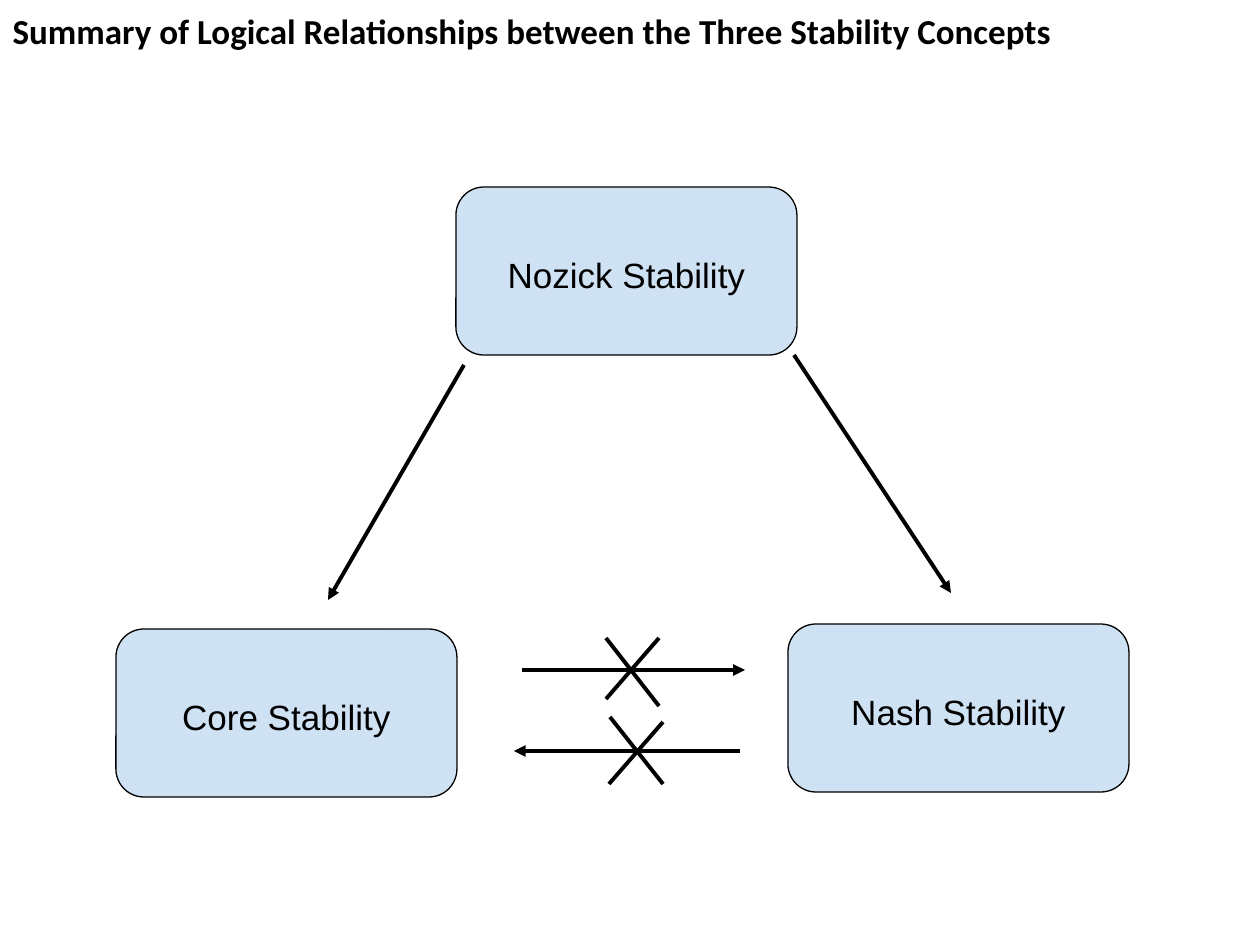
from pptx import Presentation, util as u
from pptx.dml.color import RGBColor
from pptx.enum import shapes, text
from pptx.oxml.ns import qn
from lxml import etree

TITLE = "Summary of Logical Relationships between the Three Stability Concepts"
COLORS = {"ink": "000000", "box": "CFE2F3"}
BOX_SIZE = (341, 168)
CONCEPTS = [  # label, left, top
    ("Nozick Stability", 456, 187),
    ("Core Stability", 116, 629),
    ("Nash Stability", 788, 624),
]
IMPLICATIONS = [  # x1, y1, x2, y2
    (464, 365, 328, 600),
    (794, 355, 951, 593),
    (522, 670, 745, 670),
    (740, 751, 514, 751),
]
CROSS_STROKES = [
    (610, 717, 663, 784),
    (663, 722, 609, 784),
    (606, 638, 659, 706),
    (659, 638, 606, 699),
]


def px(n):
    return u.Emu(round(n * 914400 / 126))


def color(name):
    return RGBColor.from_string(COLORS[name])


def add_run(p, words, font, bold=False):
    r = p.add_run()
    r.text = words
    r.font.name, r.font.size, r.font.bold = font, u.Pt(20), bold
    r.font.color.rgb = color("ink")


def add_title(s):
    sp = s.shapes.title
    sp.left, sp.top, sp.width, sp.height = map(px, (0, 3, 1260, 508))
    tf = sp.text_frame
    tf.auto_size = text.MSO_AUTO_SIZE.NONE
    tf.vertical_anchor = text.MSO_ANCHOR.TOP
    p = tf.paragraphs[0]
    p.alignment = text.PP_ALIGN.LEFT
    p.space_after = u.Pt(10)
    add_run(p, TITLE, "Calibri", bold=True)


def add_concept(s, label, left, top):
    sp = s.shapes.add_shape(shapes.MSO_SHAPE.ROUNDED_RECTANGLE,
                            *map(px, (left, top, *BOX_SIZE)))
    sp.shadow.inherit = False
    sp.fill.solid()
    sp.fill.fore_color.rgb = color("box")
    sp.line.color.rgb = color("ink")
    sp.line.width = u.Pt(0.75)
    tf = sp.text_frame
    tf.word_wrap = True
    tf.vertical_anchor = text.MSO_ANCHOR.MIDDLE
    tf.margin_left = tf.margin_right = tf.margin_top = tf.margin_bottom = u.Inches(0.1)
    p = tf.paragraphs[0]
    p.alignment = text.PP_ALIGN.CENTER
    p.line_spacing = 1.15
    add_run(p, label, "Arial")


def add_line(s, ends, arrow=False):
    line = s.shapes.add_connector(shapes.MSO_CONNECTOR.STRAIGHT, *map(px, ends))
    line.line.color.rgb = color("ink")
    line.line.width = u.Pt(2.25)
    sp_pr = line._element.spPr
    if arrow:
        etree.SubElement(sp_pr.find(qn("a:ln")), qn("a:tailEnd"), type="triangle")
    etree.SubElement(sp_pr, qn("a:effectLst"))


def main():
    prs = Presentation()
    prs.slide_width, prs.slide_height = u.Inches(10), u.Inches(7.5)
    s = prs.slides.add_slide(prs.slide_layouts.get_by_name("Title Only"))
    add_title(s)
    for concept in CONCEPTS:
        add_concept(s, *concept)
    for ends in IMPLICATIONS:
        add_line(s, ends, arrow=True)
    for ends in CROSS_STROKES:
        add_line(s, ends)
    prs.save("out.pptx")


if __name__ == "__main__":
    main()
